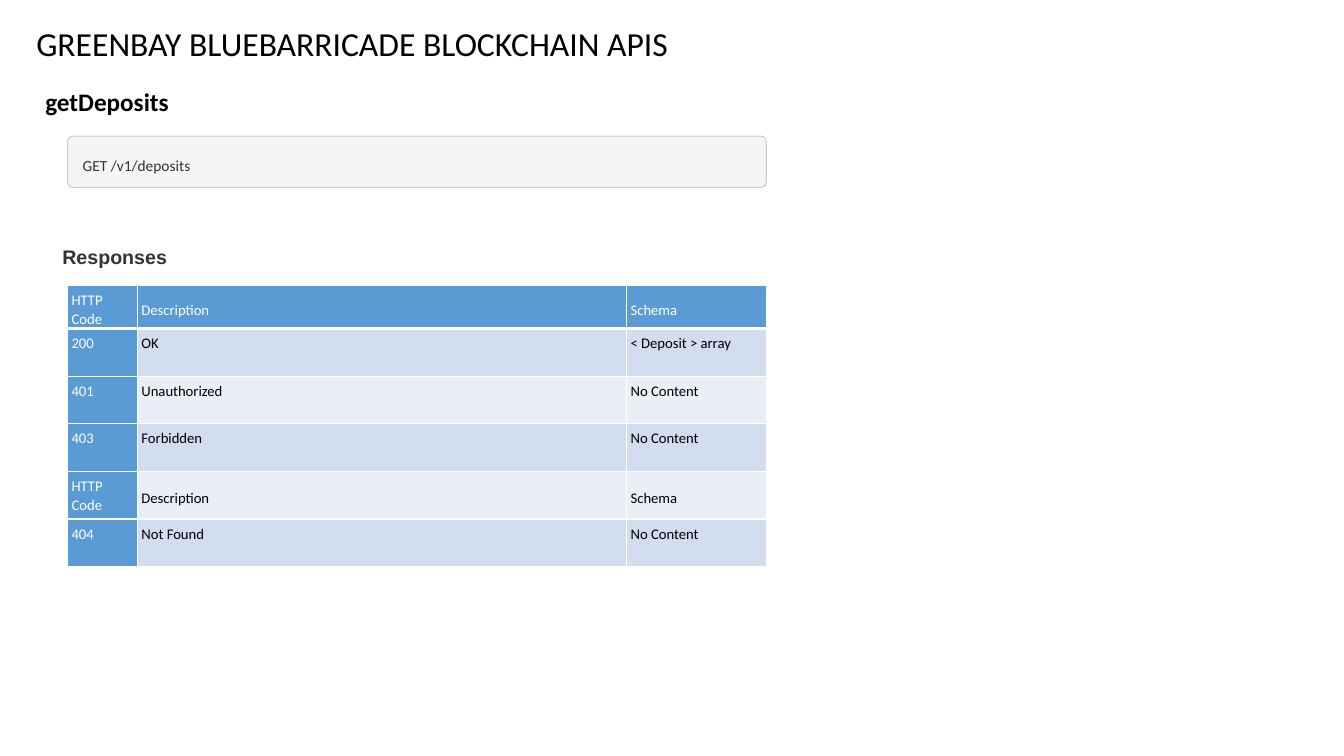
"""Builds the getDeposits endpoint slide of the blockchain API reference."""
from dataclasses import dataclass

from lxml import etree
from pptx import Presentation
from pptx.dml.color import RGBColor
from pptx.enum.shapes import MSO_SHAPE
from pptx.enum.text import MSO_ANCHOR, MSO_AUTO_SIZE, PP_ALIGN
from pptx.oxml.ns import qn
from pptx.util import Inches, Length, Pt

TOP, MIDDLE = MSO_ANCHOR.TOP, MSO_ANCHOR.MIDDLE
LEFT = PP_ALIGN.LEFT
NO_FIT = MSO_AUTO_SIZE.NONE
ROUNDED = MSO_SHAPE.ROUNDED_RECTANGLE

SLIDE_WIDTH, SLIDE_HEIGHT = Inches(13.33), Inches(7.5)
WHITE, BLACK, CHARCOAL = "FFFFFF", "000000", "333333"
BLUE, BAND_DARK, BAND_LIGHT = "5B9BD5", "D2DEEF", "EAEFF7"
PANEL_FILL, PANEL_EDGE = "F5F5F5", "CCCCCC"

RESPONSES = [
    ("HTTP Code", "Description", "Schema"),
    ("200", "OK", "< Deposit > array"),
    ("401", "Unauthorized", "No Content"),
    ("403", "Forbidden", "No Content"),
    ("HTTP Code", "Description", "Schema"),
    ("404", "Not Found", "No Content"),
]
COLUMN_SHARES = (0.1, 0.7, 0.2)
HEADER_ROW, BODY_ROW = 5.73, 6.3


@dataclass(frozen=True)
class Area:
    """A rectangle in percent of the slide's width and height."""
    left: float
    top: float
    width: float
    height: float

    def box(self) -> tuple[Length, Length, Length, Length]:
        """Return left, top, width and height as lengths."""
        return (across(self.left), down(self.top),
                across(self.width), down(self.height))


@dataclass(frozen=True)
class Label:
    """One line of text with its place and look."""
    text: str
    area: Area
    size: float
    color: str = BLACK
    font: str = "Calibri"
    bold: bool = False
    inset: float = 0.1
    spacing: float = 1.0


TITLE = Label("GREENBAY BLUEBARRICADE BLOCKCHAIN APIS",
              Area(1.95, 2.4, 48.91, 6.67), 24)
LABELS = [
    Label("getDeposits", Area(2.63, 10.8, 10.8, 5.33), 18, bold=True),
    Label("Responses", Area(3.9, 31.47, 9.38, 4.67), 14, CHARCOAL, "Arial",
          bold=True, spacing=1.07),
    Label("GET /v1/deposits", Area(6.15, 20.53, 12.23, 3.2), 11, CHARCOAL,
          inset=0, spacing=1.07),
]
ENDPOINT_PANEL = Area(5.03, 18, 52, 6.8)
RESPONSE_AREA = Area(5.03, 37.73, 52, 37.07)


def across(percent: float) -> Length:
    """Return a share of the slide's width."""
    return Length(round(SLIDE_WIDTH * percent / 100))


def down(percent: float) -> Length:
    """Return a share of the slide's height."""
    return Length(round(SLIDE_HEIGHT * percent / 100))


def rgb(value: str) -> RGBColor:
    """Return the colour of a hex string."""
    return RGBColor.from_string(value)


def format_text(frame, size: float, color: str, font: str = "Calibri",
                bold: bool = False, spacing: float = 1.0) -> None:
    """Format the only paragraph of a text frame."""
    paragraph = frame.paragraphs[0]
    paragraph.alignment = LEFT
    paragraph.line_spacing = spacing
    for run in paragraph.runs:
        run.font.name = font
        run.font.size = Pt(size)
        run.font.bold = bold
        run.font.color.rgb = rgb(color)


def place_label(holder, label: Label) -> None:
    """Move a text holder to the label's area and fill it."""
    holder.left, holder.top, holder.width, holder.height = label.area.box()
    frame = holder.text_frame
    frame.text = label.text
    frame.word_wrap = False
    frame.auto_size = NO_FIT
    frame.vertical_anchor = TOP
    frame.margin_left = frame.margin_right = Inches(label.inset)
    frame.margin_top = frame.margin_bottom = Inches(label.inset / 2)
    format_text(frame, label.size, label.color, label.font, label.bold,
                label.spacing)


def draw_panel(slide, area: Area) -> None:
    """Draw the rounded panel behind the endpoint."""
    panel = slide.shapes.add_shape(ROUNDED, *area.box())
    panel.adjustments[0] = 0.11
    panel.shadow.inherit = False
    panel.fill.solid()
    panel.fill.fore_color.rgb = rgb(PANEL_FILL)
    panel.line.color.rgb = rgb(PANEL_EDGE)
    panel.line.width = Pt(0.75)


def add_borders(cell, bottom: float) -> None:
    """Give a cell white borders, with its own bottom width in points."""
    properties = cell._tc.get_or_add_tcPr()
    widths = {"a:lnL": 1, "a:lnR": 1, "a:lnT": 1, "a:lnB": bottom}
    for position, (side, width) in enumerate(widths.items()):
        line = etree.Element(qn(side), w=str(Pt(width)))
        fill = etree.SubElement(line, qn("a:solidFill"))
        etree.SubElement(fill, qn("a:srgbClr"), val=WHITE)
        properties.insert(position, line)


def draw_responses(slide, area: Area) -> None:
    """Draw the table of HTTP responses."""
    table = slide.shapes.add_table(
        len(RESPONSES), len(COLUMN_SHARES), *area.box()).table
    table.horz_banding = False
    for column, share in zip(table.columns, COLUMN_SHARES):
        column.width = across(area.width * share)
    for row, texts in enumerate(RESPONSES):
        table.rows[row].height = down(BODY_ROW if row else HEADER_ROW)
        band = BAND_DARK if row % 2 else BAND_LIGHT
        for column, text in enumerate(texts):
            cell = table.cell(row, column)
            heading = row == 0 or column == 0
            repeats_header = texts == RESPONSES[0]
            cell.text_frame.text = text
            cell.margin_left, cell.margin_right = Inches(0.04), Inches(0.08)
            cell.margin_top, cell.margin_bottom = Inches(0.05), 0
            cell.vertical_anchor = MIDDLE if repeats_header and column else TOP
            cell.fill.solid()
            cell.fill.fore_color.rgb = rgb(BLUE if heading else band)
            add_borders(cell, 1 if row else 3)
            format_text(cell.text_frame, 10.5, WHITE if heading else BLACK,
                        spacing=1.07)


def main() -> None:
    """Build and save the slide."""
    deck = Presentation()
    deck.slide_width, deck.slide_height = SLIDE_WIDTH, SLIDE_HEIGHT
    slide = deck.slides.add_slide(deck.slide_layouts.get_by_name("Title Only"))
    place_label(slide.shapes.title, TITLE)
    draw_panel(slide, ENDPOINT_PANEL)
    for label in LABELS:
        place_label(slide.shapes.add_textbox(*label.area.box()), label)
    draw_responses(slide, RESPONSE_AREA)
    deck.save("out.pptx")


if __name__ == "__main__":
    main()
